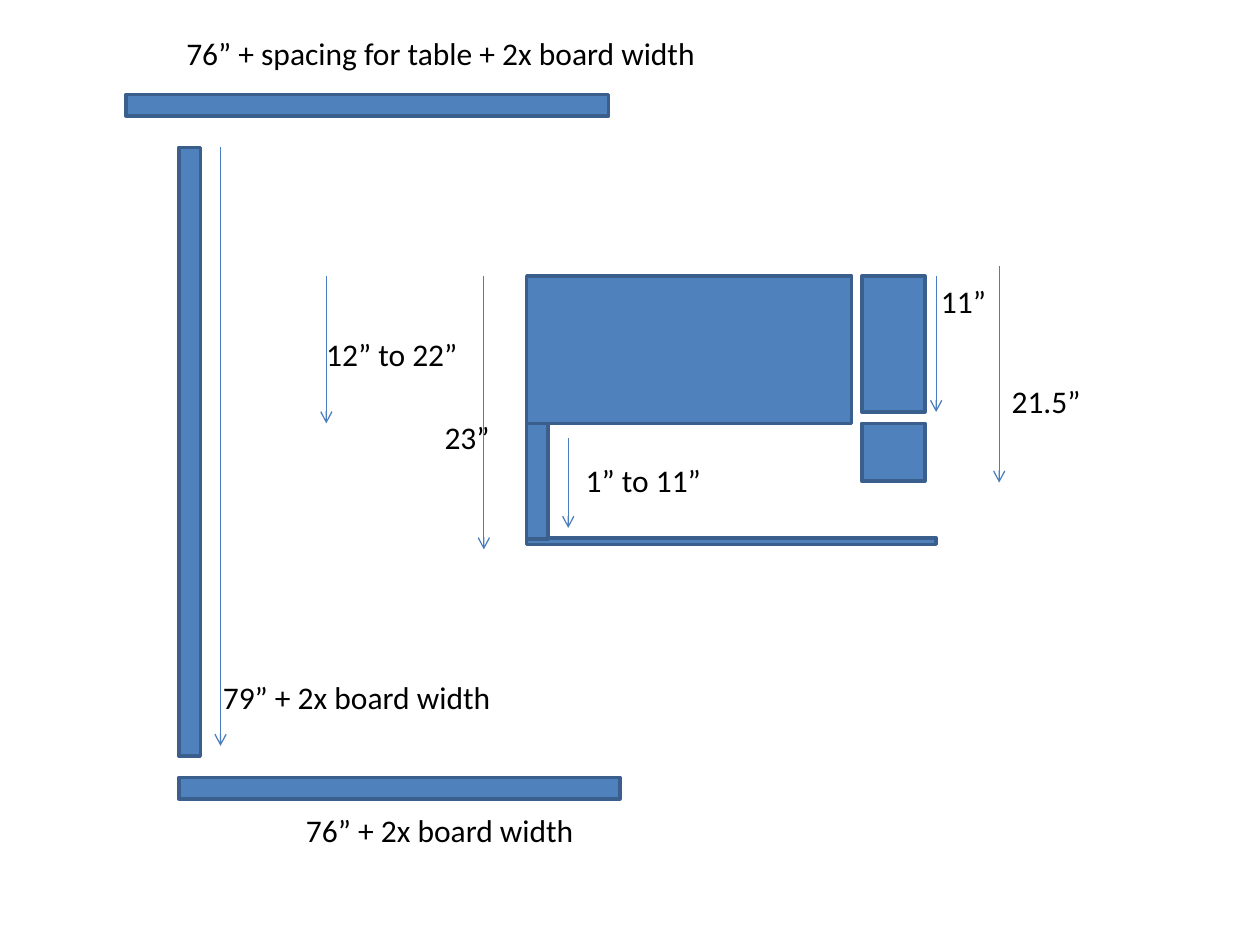
"""Build a slide of desk boards with their measurements."""
from lxml import etree
from pptx import Presentation
from pptx import util as u
from pptx.dml.color import RGBColor
from pptx.enum import shapes, text
from pptx.oxml.ns import qn

SCALE = 9144
BOARD_FILL = RGBColor(0x4F, 0x81, 0xBD)
BOARD_EDGE = RGBColor(0x3A, 0x5F, 0x8C)
ARROW_BLUE = RGBColor(0x4B, 0x7E, 0xBC)
BLACK = RGBColor(0, 0, 0)

BOARDS = [
    (142, 117, 17, 483),
    (100, 75, 383, 17),
    (142, 617, 350, 17),
    (418, 219, 258, 117),
    (418, 427, 325, 5),
    (418, 336, 17, 92),
    (684, 219, 50, 108),
    (684, 336, 50, 46),
]
ARROWS = [
    (384, 219, 436),
    (451, 348, 419),
    (259, 219, 336),
    (743, 219, 327),
    (793, 211, 383),
    (175, 117, 592),
]
LABELS = [
    ("23”", 343, 327, 56),
    ("1” to 11”", 455, 361, 112),
    ("12” to 22”", 249, 261, 125),
    ("11”", 737, 219, 56),
    ("21.5”", 793, 298, 75),
    ("79” + 2x board width", 167, 533, 235),
    ("76” + 2x board width", 233, 639, 235),
    ("76” + spacing for table + 2x board width", 138, 22, 429),
]


def px(*lengths):
    return [u.Emu(length * SCALE) for length in lengths]


class Drawing:
    def __init__(self, slide, font="Calibri", size=18):
        self.slide = slide
        self.font = font
        self.size = u.Pt(size)

    def board(self, left, top, width, height):
        shape = self.slide.shapes.add_shape(
            shapes.MSO_SHAPE.RECTANGLE, *px(left, top, width, height))
        shape.shadow.inherit = False
        shape.fill.solid()
        shape.fill.fore_color.rgb = BOARD_FILL
        shape.line.color.rgb = BOARD_EDGE
        shape.line.width = u.Pt(2)

    def down_arrow(self, x, top, bottom):
        arrow = self.slide.shapes.add_connector(
            shapes.MSO_CONNECTOR.STRAIGHT, *px(x, top, x, bottom))
        arrow.line.color.rgb = ARROW_BLUE
        arrow.line.width = u.Pt(0.75)
        properties = arrow._element.spPr
        outline = properties.find(qn("a:ln"))
        etree.SubElement(outline, qn("a:tailEnd"), type="arrow")
        etree.SubElement(properties, qn("a:effectLst"))

    def label(self, wording, left, top, width, height=40):
        box = self.slide.shapes.add_textbox(*px(left, top, width, height))
        frame = box.text_frame
        frame.word_wrap = False
        frame.auto_size = text.MSO_AUTO_SIZE.SHAPE_TO_FIT_TEXT
        run = frame.paragraphs[0].add_run()
        run.text = wording
        run.font.name = self.font
        run.font.size = self.size
        run.font.color.rgb = BLACK


def main():
    presentation = Presentation()
    presentation.slide_width, presentation.slide_height = px(1000, 750)
    slide = presentation.slides.add_slide(presentation.slide_layouts[6])
    drawing = Drawing(slide)
    for board in BOARDS:
        drawing.board(*board)
    for arrow in ARROWS:
        drawing.down_arrow(*arrow)
    for label in LABELS:
        drawing.label(*label)
    presentation.save("out.pptx")


if __name__ == "__main__":
    main()
